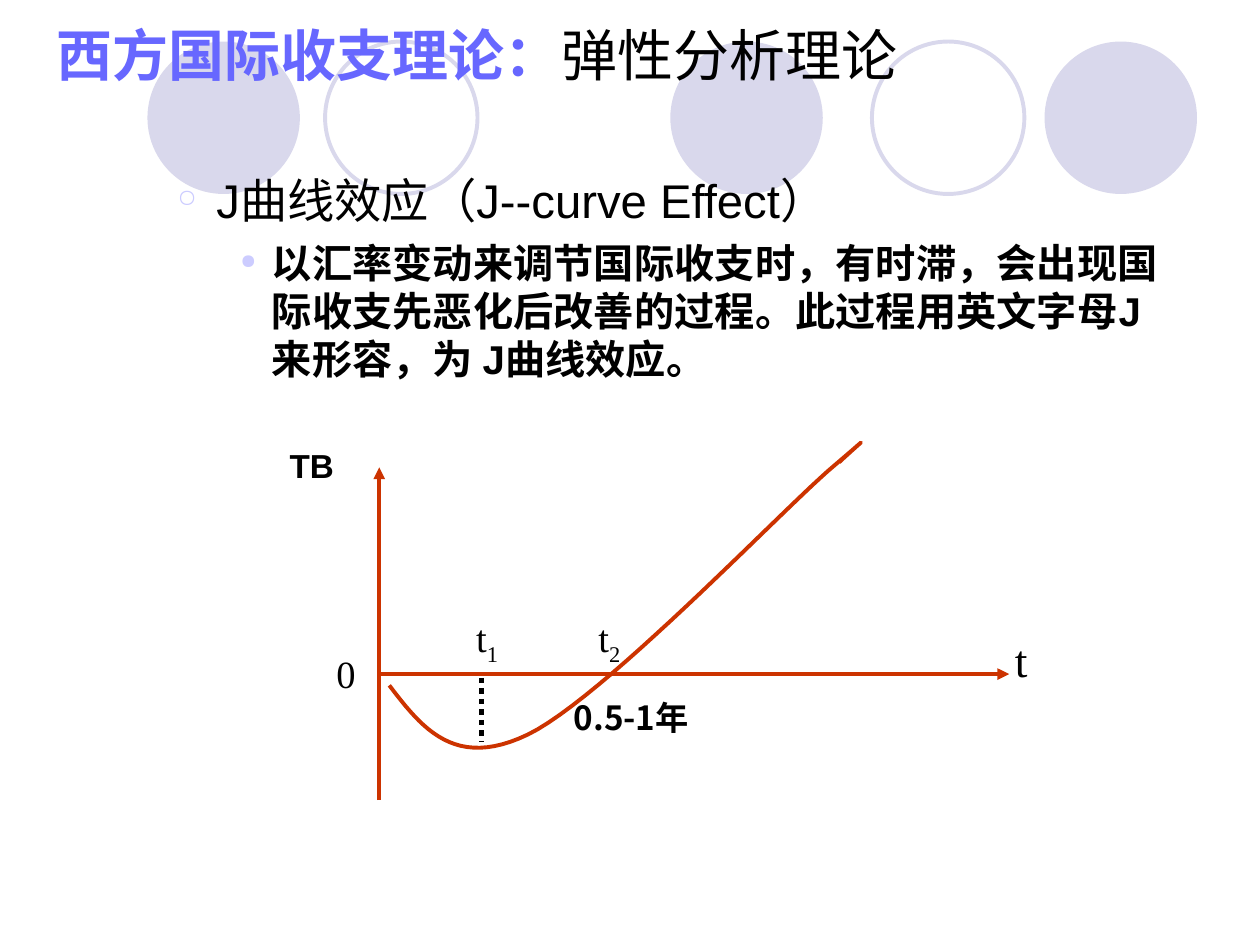
from lxml import etree
from pptx import Presentation
from pptx.dml.color import RGBColor
from pptx.enum.dml import MSO_LINE
from pptx.enum.shapes import MSO_CONNECTOR, MSO_SHAPE
from pptx.enum.text import MSO_ANCHOR as ANCHOR, PP_ALIGN as ALIGN
from pptx.oxml.ns import qn
from pptx.util import Inches, Pt

LILAC, BULLET, VIOLET, RED, BLACK = "D9D8EC", "CCCCFF", "6767FF", "CC3300", "000000"
SERIF, SANS, CJK = "Times New Roman", "Arial", "Noto Sans CJK JP"


def color(hex_text):
    """Turn a hex string into a colour."""
    return RGBColor.from_string(hex_text)


def add_run(p, text, size=22, font=SERIF, fill=BLACK, bold=False, baseline=None):
    """Add one formatted run to a paragraph."""
    r = p.add_run()
    r.text = text
    f = r.font
    f.size, f.name, f.bold = Pt(size), font, bold
    f.color.rgb = color(fill)
    rPr = r._r.get_or_add_rPr()
    if font.startswith("Noto"):
        etree.SubElement(rPr, qn("a:ea"), typeface=font)
    if baseline:
        rPr.set("baseline", str(baseline * 1000))


def add_box(slide, box, anchor=ANCHOR.TOP, wrap=True):
    """Add an empty text box and return its text frame."""
    tf = slide.shapes.add_textbox(*map(Inches, box)).text_frame
    tf.word_wrap, tf.vertical_anchor = wrap, anchor
    return tf


def style_line(sp, hex_text, width, arrow=False):
    """Set line colour, width and end arrow."""
    sp.line.color.rgb = color(hex_text)
    sp.line.width = Pt(width)
    if arrow:
        etree.SubElement(sp.line._get_or_add_ln(), qn("a:tailEnd"), type="triangle")


def add_line(slide, start, end, hex_text=RED, width=2.24, arrow=False):
    """Draw a straight line between two points."""
    s = slide.shapes.add_connector(
        MSO_CONNECTOR.STRAIGHT, *map(Inches, (*start, *end)))
    style_line(s, hex_text, width, arrow)
    etree.SubElement(s._element.spPr, qn("a:effectLst"))
    return s


def add_circles(slide, top, size=1.21):
    """Draw the row of filled and outlined circles."""
    for left, filled in ((1.17, True), (2.58, False), (5.32, True),
                         (6.92, False), (8.29, True)):
        s = slide.shapes.add_shape(
            MSO_SHAPE.OVAL, *map(Inches, (left, top, size, size)))
        s.shadow.inherit = False
        if filled:
            s.fill.solid()
            s.fill.fore_color.rgb = color(LILAC)
            s.line.fill.background()
        else:
            s.fill.background()
            style_line(s, LILAC, 2.24)


def add_title(slide, box):
    """Write the two-tone title."""
    p = add_box(slide, box, ANCHOR.MIDDLE).paragraphs[0]
    add_run(p, "西方国际收支理论：", size=32, font=CJK, fill=VIOLET, bold=True)
    add_run(p, "弹性分析理论", size=32, font=CJK)


def add_bullet(p, char, indent, hang, percent, before):
    """Give a paragraph a coloured bullet and a hanging indent."""
    p.space_before = Pt(before)
    pPr = p._p.get_or_add_pPr()
    pPr.set("marL", str(Inches(indent)))
    pPr.set("indent", str(-Inches(hang)))
    clr = etree.SubElement(pPr, qn("a:buClr"))
    etree.SubElement(clr, qn("a:srgbClr"), val=BULLET)
    etree.SubElement(pPr, qn("a:buSzPct"), val=str(percent * 1000))
    etree.SubElement(pPr, qn("a:buChar"), char=char)


def add_body(slide, box):
    """Write the heading and explanation of the J curve."""
    tf = add_box(slide, box)
    p = tf.paragraphs[0]
    add_bullet(p, "○", 0.81, 0.31, 52, 6.8)
    add_run(p, "J曲线效应（J--curve Effect）", size=27, font=SANS)
    p = tf.add_paragraph()
    add_bullet(p, "●", 1.25, 0.25, 50, 5.8)
    add_run(p, "以汇率变动来调节国际收支时，有时滞，会出现国际收支先恶化后改善的过程。"
               "此过程用英文字母J 来形容，为 J曲线效应。", size=23, font=SANS, bold=True)


def bezier(p0, p1, p2, p3, steps=24):
    """Return points along a cubic curve, without its start."""
    return [tuple((1 - t)**3 * a + 3 * (1 - t)**2 * t * b + 3 * (1 - t) * t**2 * c + t**3 * d
                  for a, b, c, d in zip(p0, p1, p2, p3))
            for t in (i / steps for i in range(1, steps + 1))]


def add_curve(slide, x, y):
    """Draw the J curve from its start relative to the origin."""
    nodes = [(Inches(x + dx), Inches(y + dy)) for dx, dy in (
        (0.08, 0.09), (0.34, 0.43), (0.6, 0.76), (1.18, 0.48), (1.76, 0.2),
        (3.15, -1.25), (3.56, -1.61), (3.98, -1.97), (3.81, -1.83), (3.65, -1.68))]
    points = [pt for i in (0, 3, 6) for pt in bezier(*nodes[i:i + 4])]
    fb = slide.shapes.build_freeform(*nodes[0])
    fb.add_line_segments(points, close=False)
    s = fb.convert_to_shape()
    s.shadow.inherit = False
    s.fill.background()
    style_line(s, RED, 2.24)


def add_label(slide, box, text, sub=None, align=ALIGN.CENTER, **fmt):
    """Write a label with an optional subscript."""
    p = add_box(slide, box, ANCHOR.MIDDLE, wrap=False).paragraphs[0]
    p.alignment = align
    add_run(p, text, **fmt)
    if sub:
        add_run(p, sub, baseline=-25, **fmt)


def add_diagram(slide, x, y):
    """Draw the axes, curve and labels around the origin."""
    add_line(slide, (x, y + 1), (x, y - 1.64), arrow=True)
    add_line(slide, (x, y), (x + 5, y), arrow=True)
    add_curve(slide, x, y)
    dots = add_line(slide, (x + 0.81, y + 0.03), (x + 0.81, y + 0.54), BLACK, 3)
    dots.line.dash_style = MSO_LINE.ROUND_DOT
    for dx, dy, w, h, text, sub, fmt in (
            (-0.87, -1.86, 0.67, 0.41, "TB", None, dict(size=19, font=SANS, bold=True)),
            (4.9, -0.39, 0.39, 0.55, "t", None, dict(size=26)),
            (1.36, 0.07, 1.28, 0.55, "0.5-1年", None,
             dict(size=19, font="Noto Sans CJK SC", bold=True)),
            (0.66, -0.5, 0.39, 0.47, "t", "1", {}),
            (1.63, -0.5, 0.39, 0.47, "t", "2", {}),
            (-0.46, -0.24, 0.39, 0.47, "0", None, {})):
        add_label(slide, (x + dx, y + dy, w, h), text, sub, **fmt)


def main():
    """Build and save the slide."""
    prs = Presentation()
    prs.slide_width, prs.slide_height = Inches(10), Inches(7.5)
    slide = prs.slides.add_slide(prs.slide_layouts[6])
    add_circles(slide, 0.33)
    add_body(slide, (0.81, 1.31, 8.5, 2.07))
    add_title(slide, (0.35, 0.25, 8.19, 0.36))
    add_diagram(slide, 3.01, 5.35)
    prs.save("out.pptx")


main()
